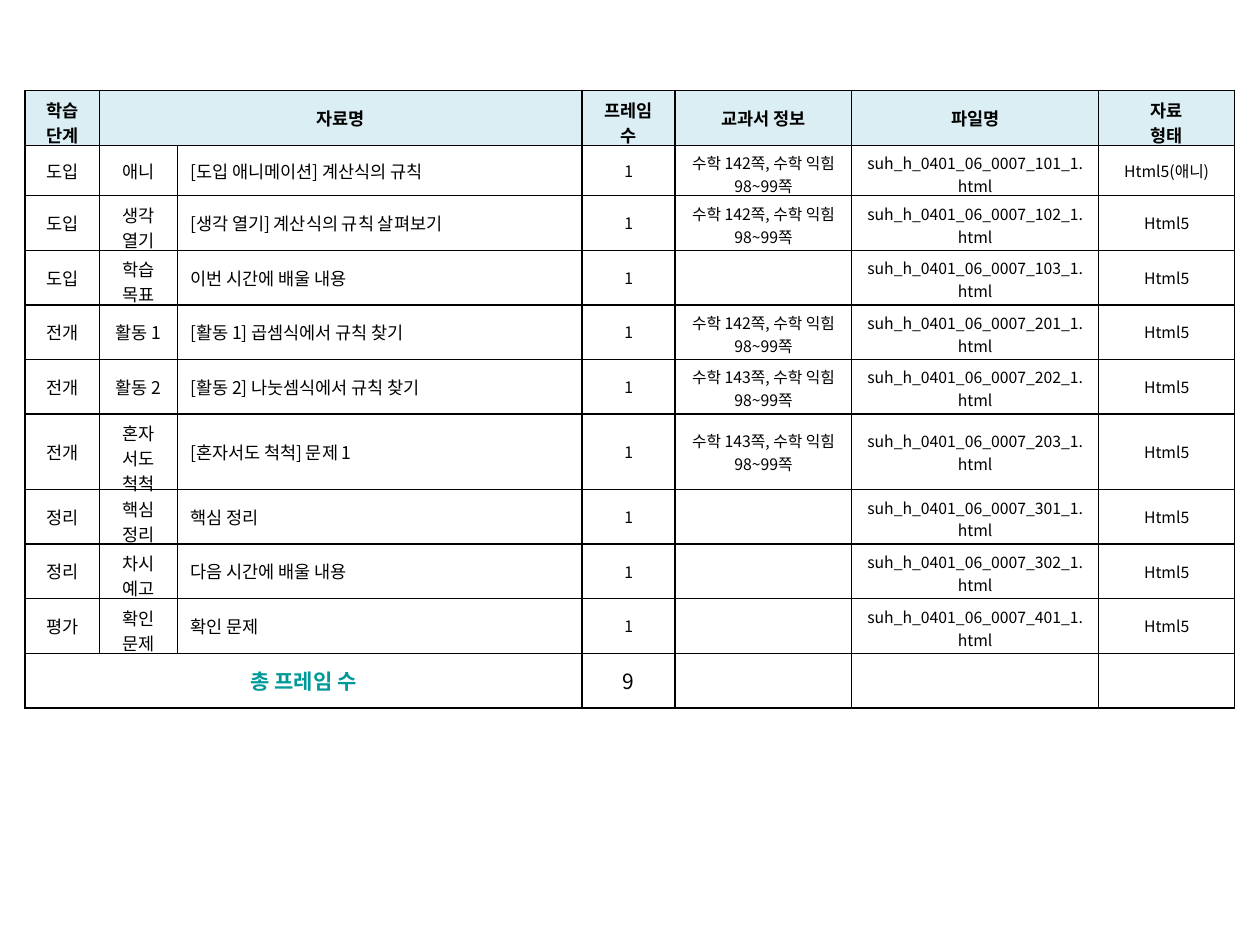
from dataclasses import dataclass

from lxml.etree import SubElement
from pptx import Presentation
from pptx.dml.color import RGBColor
from pptx.enum.text import MSO_ANCHOR, PP_ALIGN
from pptx.oxml.ns import qn
from pptx.util import Inches, Pt


@dataclass(frozen=True)
class Theme:
    font: str = "Noto Sans CJK KR"
    text: str = "000000"
    accent: str = "009999"
    header_fill: str = "DBEEF4"
    border: str = "000000"
    border_width: float = 1
    label_size: float = 10
    detail_size: float = 9
    total_size: float = 12


THEME = Theme()
TABLE_BOX = (0.2, 0.72, 9.6, 4.9)
COLUMN_WIDTHS = (0.59, 0.62, 3.21, 0.74, 1.4, 1.96, 1.08)
SPECIAL_HEIGHTS = {1: 0.4, 6: 0.6}
ACTIVITY_COLUMN = 1
TITLE_COLUMN = 2
FIRST_DETAIL_COLUMN = 3
WRAPPED_HEADER_COLUMNS = (0, 3, 6)
WRAPPED_DETAIL_COLUMNS = (4, 5)
LONGEST_ONE_LINE_ACTIVITY = 4

HEADERS = ("학습 단계", "자료명", "", "프레임 수", "교과서 정보", "파일명", "자료\n형태")
# Stage, activity, material title, textbook page, file number, format
MATERIALS = (
    ("도입", "애니", "[도입 애니메이션] 계산식의 규칙", 142, 101, "Html5(애니)"),
    ("도입", "생각 열기", "[생각 열기] 계산식의 규칙 살펴보기", 142, 102, "Html5"),
    ("도입", "학습 목표", "이번 시간에 배울 내용", None, 103, "Html5"),
    ("전개", "활동 1", "[활동 1] 곱셈식에서 규칙 찾기", 142, 201, "Html5"),
    ("전개", "활동 2", "[활동 2] 나눗셈식에서 규칙 찾기", 143, 202, "Html5"),
    ("전개", "혼자 서도\n척척", "[혼자서도 척척] 문제 1", 143, 203, "Html5"),
    ("정리", "핵심 정리", "핵심 정리", None, 301, "Html5"),
    ("정리", "차시 예고", "다음 시간에 배울 내용", None, 302, "Html5"),
    ("평가", "확인 문제", "확인 문제", None, 401, "Html5"),
)


def material_texts(stage, activity, title, page, file_number, file_format):
    textbook = f"수학 {page}쪽, 수학 익힘 98~99쪽" if page else ""
    file_name = f"suh_h_0401_06_0007_{file_number}_1.html"
    return stage, activity, title, "1", textbook, file_name, file_format


def set_borders(cell):
    properties = cell._tc.get_or_add_tcPr()
    for side in ("lnL", "lnR", "lnT", "lnB"):
        line = SubElement(properties, qn(f"a:{side}"), w=str(Pt(THEME.border_width)))
        fill = SubElement(line, qn("a:solidFill"))
        SubElement(fill, qn("a:srgbClr"), val=THEME.border)


def write_cell(cell, text, size, color=THEME.text, bold=False,
               align=PP_ALIGN.CENTER, wraps=False):
    cell.vertical_anchor = MSO_ANCHOR.MIDDLE
    if wraps:
        # Lets wrapped lines reach the lower edge without stretching the row
        cell.vertical_anchor = MSO_ANCHOR.TOP
        cell.margin_bottom = Inches(-0.07)
    frame = cell.text_frame
    for index, line in enumerate(text.split("\n")):
        paragraph = frame.add_paragraph() if index else frame.paragraphs[0]
        paragraph.alignment = align
        if not line:
            # Keeps an empty cell from stretching its row
            SubElement(paragraph._p, qn("a:endParaRPr"), sz=str(int(size * 100)))
            continue
        run = paragraph.add_run()
        run.text = line
        run.font.name = THEME.font
        run.font.size = Pt(size)
        run.font.bold = bold
        run.font.color.rgb = RGBColor.from_string(color)
        SubElement(run.font._element, qn("a:ea"), typeface=THEME.font)


def fill_header(table):
    for column, text in enumerate(HEADERS):
        cell = table.cell(0, column)
        cell.fill.solid()
        cell.fill.fore_color.rgb = RGBColor.from_string(THEME.header_fill)
        if text:
            write_cell(cell, text, THEME.label_size, bold=True,
                       wraps=column in WRAPPED_HEADER_COLUMNS)
    table.cell(0, 1).merge(table.cell(0, TITLE_COLUMN))


def fill_materials(table):
    for row, material in enumerate(MATERIALS, start=1):
        for column, text in enumerate(material_texts(*material)):
            is_detail = column >= FIRST_DETAIL_COLUMN
            is_long_activity = (
                column == ACTIVITY_COLUMN and len(text) > LONGEST_ONE_LINE_ACTIVITY
            )
            # The tallest row has room to centre its two-line details
            is_tight_detail = column in WRAPPED_DETAIL_COLUMNS and row != 6
            write_cell(
                table.cell(row, column),
                text,
                THEME.detail_size if is_detail else THEME.label_size,
                align=PP_ALIGN.LEFT if column == TITLE_COLUMN else PP_ALIGN.CENTER,
                wraps=is_long_activity or is_tight_detail,
            )


def fill_total(table):
    row = len(MATERIALS) + 1
    table.cell(row, 0).merge(table.cell(row, TITLE_COLUMN))
    write_cell(table.cell(row, 0), "총 프레임 수", THEME.total_size, THEME.accent, bold=True)
    write_cell(table.cell(row, 3), str(len(MATERIALS)), THEME.total_size)
    for column in range(4, len(COLUMN_WIDTHS)):
        write_cell(table.cell(row, column), "", THEME.detail_size)


def add_materials_table(slide, left, top, width, height):
    row_count = len(MATERIALS) + 2
    shape = slide.shapes.add_table(
        row_count, len(COLUMN_WIDTHS),
        Inches(left), Inches(top), Inches(width), Inches(height),
    )
    table = shape.table
    table.first_row = table.horz_banding = False

    # Grid: columns scaled to the box, ordinary rows share the remaining height
    scale = width / sum(COLUMN_WIDTHS)
    for column, column_width in zip(table.columns, COLUMN_WIDTHS):
        column.width = Inches(column_width * scale)
    remaining_height = height - sum(SPECIAL_HEIGHTS.values())
    row_height = remaining_height / (row_count - len(SPECIAL_HEIGHTS))
    for index, row in enumerate(table.rows):
        row.height = Inches(SPECIAL_HEIGHTS.get(index, row_height))

    # Plain cells with thin borders
    for cell in table.iter_cells():
        set_borders(cell)
        cell.fill.background()

    fill_header(table)
    fill_materials(table)
    fill_total(table)


def main():
    presentation = Presentation()
    presentation.slide_width = Inches(10)
    presentation.slide_height = Inches(7.5)
    slide = presentation.slides.add_slide(presentation.slide_layouts[6])
    add_materials_table(slide, *TABLE_BOX)
    presentation.save("out.pptx")


if __name__ == "__main__":
    main()
